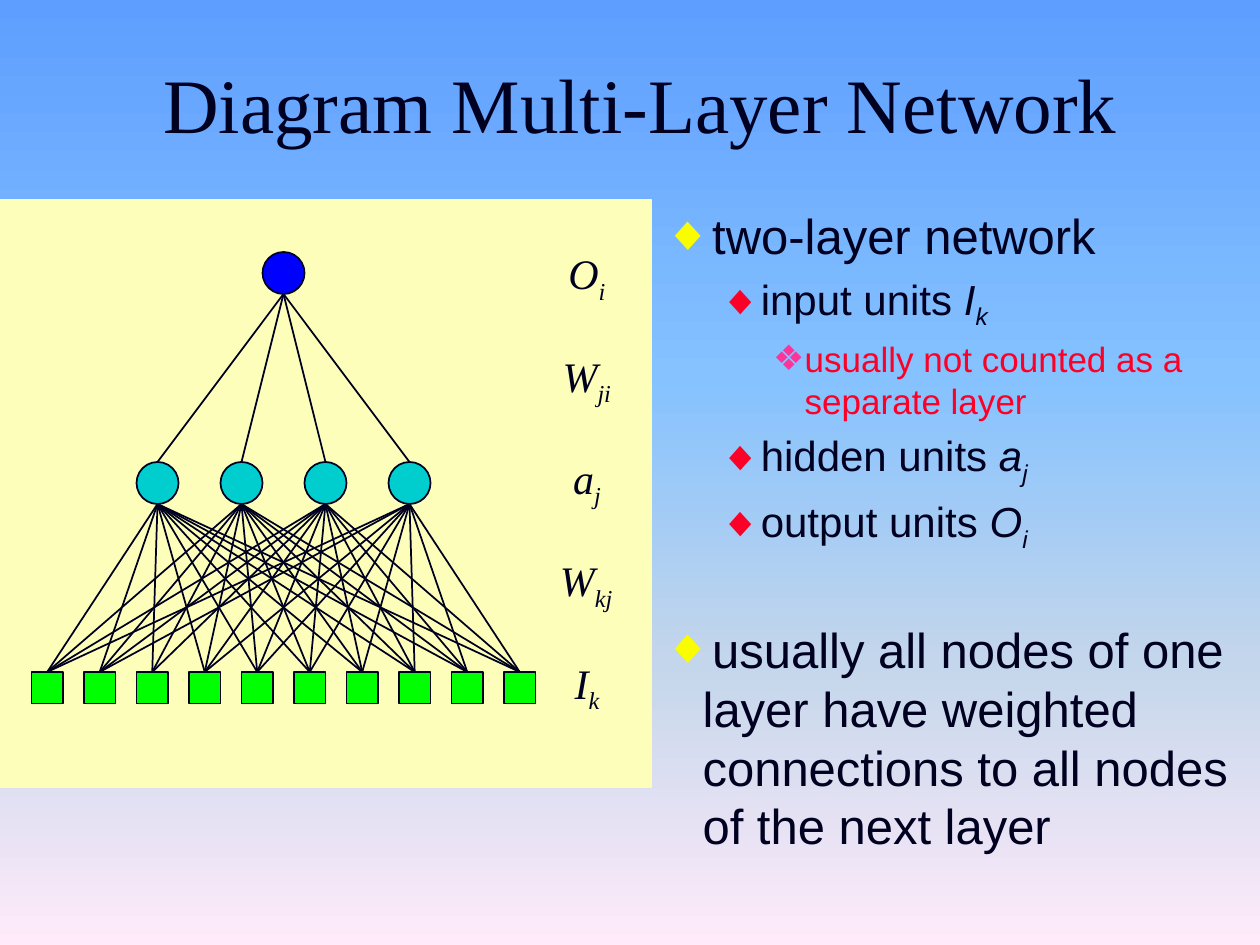
import pptx
import pptx.dml.color
import pptx.enum.shapes
import pptx.enum.text
import pptx.oxml
import pptx.oxml.ns
import pptx.util

RGB = pptx.dml.color.RGBColor
SHAPE = pptx.enum.shapes.MSO_SHAPE
ALIGN = pptx.enum.text.PP_ALIGN
qn = pptx.oxml.ns.qn

INK = RGB(0x00, 0x00, 0x20)
CREAM = RGB(0xFC, 0xFE, 0xB9)
BLUE = RGB(0x00, 0x00, 0xFF)
TEAL = RGB(0x00, 0xCE, 0xCE)
GREEN = RGB(0x00, 0xFF, 0x00)
YELLOW = RGB(0xFA, 0xFD, 0x00)
RED = RGB(0xFC, 0x01, 0x28)
PINK = RGB(0xFF, 0x33, 0x99)
SKY = [
    (0, RGB(0x5E, 0x9E, 0xFF)),
    (40, RGB(0x85, 0xC2, 0xFF)),
    (70, RGB(0xC4, 0xD6, 0xEB)),
    (100, RGB(0xFF, 0xEB, 0xFA)),
]
SERIF, SANS = "Times New Roman", "Arial"
COLS, ROWS = 120, 90

# level: (left margin, hanging indent, size, space before, bullet, bullet colour, text colour)
LEVELS = [
    (0.31, 0.31, 28, 0, "◆", YELLOW, INK),
    (0.75, 0.31, 24, 4.8, "◆", RED, INK),
    (1.12, 0.25, 20, 4, "❖", PINK, RED),
]


class NetworkSlide:
    """Draws a layered network on a grid of 120 columns by 90 rows."""

    def __init__(self, prs):
        self.s = prs.slides.add_slide(prs.slide_layouts[1])
        self.col, self.row = prs.slide_width / COLS, prs.slide_height / ROWS

    def x(self, cols):
        return pptx.util.Emu(round(cols * self.col))

    def y(self, rows):
        return pptx.util.Emu(round(rows * self.row))

    def box(self, left, top, width, height):
        return self.x(left), self.y(top), self.x(width), self.y(height)

    def place(self, sp, *box):
        sp.left, sp.top, sp.width, sp.height = self.box(*box)

    def background(self, stops):
        fill = self.s.background.fill
        fill.gradient()
        fill.gradient_angle = 270
        gs_lst = self.s.element.find(".//" + qn("a:gsLst"))
        gs_lst.clear()
        for pos, color in stops:
            gs = pptx.oxml.parse_xml(
                f'<a:gs {pptx.oxml.ns.nsdecls("a")} pos="{pos * 1000}">'
                f'<a:srgbClr val="{color}"/></a:gs>'
            )
            gs_lst.append(gs)

    def run(self, p, text, size, font, color=INK, italic=False, sub=False):
        r = p.add_run()
        r.text = text
        r.font.size, r.font.name = pptx.util.Pt(size), font
        r.font.color.rgb, r.font.italic = color, italic
        if sub:
            r.font._element.set("baseline", "-25000")

    def symbol(self, p, name, index, size, font):
        self.run(p, name, size, font, italic=True)
        self.run(p, index, size, font, italic=True, sub=True)

    def title(self, text, *box):
        sp = self.s.shapes.title
        self.place(sp, *box)
        tf = sp.text_frame
        tf.auto_size = pptx.enum.text.MSO_AUTO_SIZE.NONE
        tf.vertical_anchor = pptx.enum.text.MSO_ANCHOR.MIDDLE
        p = tf.paragraphs[0]
        p.alignment = ALIGN.CENTER
        self.run(p, text, 44, SERIF)

    def body(self, items, *box):
        sp = self.s.placeholders[1]
        self.place(sp, *box)
        tf = sp.text_frame
        tf.auto_size = pptx.enum.text.MSO_AUTO_SIZE.NONE
        for i, (level, text, name, index, gap) in enumerate(items):
            p = tf.paragraphs[0] if i == 0 else tf.add_paragraph()
            margin, hang, size, before, char, bullet_color, color = LEVELS[level]
            p.level = level
            p.space_before = pptx.util.Pt(before + gap)
            self.bullet(p, margin, hang, char, bullet_color)
            self.run(p, text, size, SANS, color)
            if name:
                self.symbol(p, name, index, size, SANS)

    def bullet(self, p, margin, hang, char, color):
        pPr = p._p.get_or_add_pPr()
        pPr.set("marL", str(pptx.util.Inches(margin)))
        pPr.set("indent", str(-pptx.util.Inches(hang)))
        bu_clr = pptx.oxml.parse_xml(
            f'<a:buClr {pptx.oxml.ns.nsdecls("a")}><a:srgbClr val="{color}"/></a:buClr>'
        )
        pPr.append(bu_clr)
        pPr.makeelement(qn("a:buChar"))
        bu_char = pptx.oxml.parse_xml(
            f'<a:buChar {pptx.oxml.ns.nsdecls("a")} char="{char}"/>'
        )
        pPr.append(bu_char)

    def shape(self, kind, fill, line, *box):
        sp = self.s.shapes.add_shape(kind, *self.box(*box))
        sp.shadow.inherit = False
        sp.fill.solid()
        sp.fill.fore_color.rgb = fill
        sp.line.color.rgb, sp.line.width = line, pptx.util.Pt(1)

    def link(self, x1, y1, x2, y2):
        line = self.s.shapes.add_connector(
            pptx.enum.shapes.MSO_CONNECTOR.STRAIGHT,
            self.x(x1), self.y(y1), self.x(x2), self.y(y2),
        )
        line.line.color.rgb, line.line.width = INK, pptx.util.Pt(1)
        spPr = line._element.spPr
        spPr.append(spPr.makeelement(qn("a:effectLst")))

    def label(self, name, index, center, top, width):
        sp = self.s.shapes.add_textbox(*self.box(center - width / 2, top, width, 6))
        sp.text_frame.word_wrap = False
        self.symbol(sp.text_frame.paragraphs[0], name, index, 24, SERIF)


def main():
    prs = pptx.Presentation()
    prs.slide_width, prs.slide_height = pptx.util.Inches(10), pptx.util.Inches(7.5)
    net = NetworkSlide(prs)
    net.background(SKY)
    net.shape(SHAPE.RECTANGLE, CREAM, CREAM, 0, 19, 62, 56)
    net.title("Diagram Multi-Layer Network", 3, 4.5, 116, 10.5)
    net.body([
        (0, "two-layer network", "", "", 0),
        (1, "input units ", "I", "k", 0),
        (2, "usually not counted as a separate layer", "", "", 0),
        (1, "hidden units ", "a", "j", 0),
        (1, "output units ", "O", "i", 0),
        (0, "usually all nodes of one layer have weighted connections "
            "to all nodes of the next layer", "", "", 38),
    ], 62, 19, 57, 61)

    hidden = [15 + 8 * j for j in range(4)]
    inputs = [4.5 + 5 * k for k in range(10)]
    for j, hx in enumerate(hidden):
        net.link(hx, 44, 27, 28)
        for k, ix in enumerate(inputs):
            if (k, j) != (2, 3):
                net.link(ix, 64, hx, 48)
    net.shape(SHAPE.OVAL, BLUE, INK, 25, 24, 4, 4)
    for hx in hidden:
        net.shape(SHAPE.OVAL, TEAL, INK, hx - 2, 44, 4, 4)
    for ix in inputs:
        net.shape(SHAPE.RECTANGLE, GREEN, INK, ix - 1.5, 64, 3, 3)

    labels = [("O", "i", 6.1), ("W", "ji", 7.2), ("a", "j", 5.2),
              ("W", "kj", 7.7), ("I", "k", 4.9)]
    for i, (name, index, width) in enumerate(labels):
        net.label(name, index, 56, 23 + 9.75 * i, width)
    prs.save("out.pptx")


if __name__ == "__main__":
    main()
